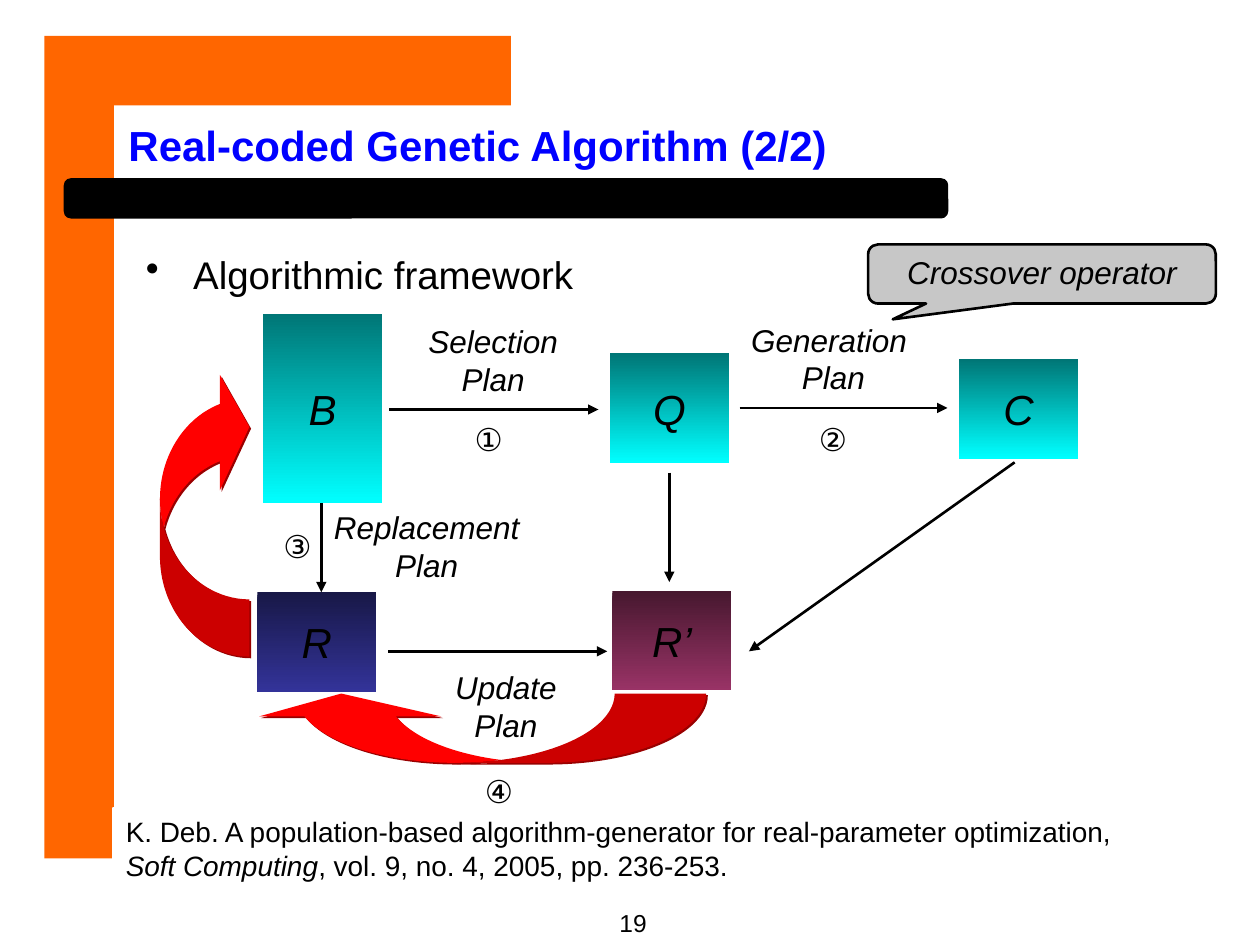
import pptx
import pptx.dml.color
import pptx.enum.shapes
import pptx.enum.text
import pptx.oxml
import pptx.oxml.ns
import pptx.util
from lxml import etree

Pt = pptx.util.Pt
SHAPE = pptx.enum.shapes.MSO_SHAPE
ALIGN = pptx.enum.text.PP_ALIGN
ANCHOR = pptx.enum.text.MSO_ANCHOR
qn = pptx.oxml.ns.qn
FONT = "Arial"


def colour(hex_code):
    return pptx.dml.color.RGBColor.from_string(hex_code)


def points(*values):
    return [Pt(value) for value in values]


def write(frame, lines, size, align=ALIGN.CENTER, anchor=ANCHOR.TOP,
          italic=False, bold=False, ink="000000", wrap=True):
    """Fill a text frame with one paragraph per line."""
    frame.word_wrap = wrap
    frame.vertical_anchor = anchor
    for number, line in enumerate(lines):
        paragraph = frame.add_paragraph() if number else frame.paragraphs[0]
        paragraph.add_run().text = line
        paragraph.alignment = align
        font = paragraph.font
        font.name, font.size = FONT, Pt(size)
        font.italic, font.bold = italic, bold
        font.color.rgb = colour(ink)


def add_text(slide, box, lines, size, **style):
    text = slide.shapes.add_textbox(*points(*box))
    write(text.text_frame, lines, size, **style)
    return text


def add_block(slide, kind, box, fill, line=None, line_width=1.0):
    block = slide.shapes.add_shape(kind, *points(*box))
    block.shadow.inherit = False
    block.fill.solid()
    block.fill.fore_color.rgb = colour(fill)
    if line:
        block.line.color.rgb = colour(line)
        block.line.width = Pt(line_width)
    else:
        block.line.fill.background()
    return block


def add_node(slide, box, name, top, bottom):
    node = add_block(slide, SHAPE.RECTANGLE, box, top)
    node.fill.gradient()
    node.fill.gradient_angle = 270  # downwards
    for stop, shade in zip(node.fill.gradient_stops, (top, bottom)):
        stop.color.rgb = colour(shade)
    write(node.text_frame, [name], 24, anchor=ANCHOR.MIDDLE, italic=True, wrap=False)


def add_arrow(slide, start, end):
    arrow = slide.shapes.add_connector(
        pptx.enum.shapes.MSO_CONNECTOR.STRAIGHT, *points(*start, *end))
    arrow.line.color.rgb = colour("000000")
    arrow.line.width = Pt(1.5)
    etree.SubElement(arrow.line._get_or_add_ln(), qn("a:tailEnd"), type="triangle")
    etree.SubElement(arrow._element.spPr, qn("a:effectLst"))


def add_curved_arrow(slide, box, rotation, proportions):
    arrow = add_block(slide, SHAPE.CURVED_LEFT_ARROW, box, "FF0000")
    arrow.rotation = rotation
    for number, proportion in enumerate(proportions):
        arrow.adjustments[number] = proportion
    effects = arrow._element.spPr.find(qn("a:effectLst"))
    shadow = etree.SubElement(effects, qn("a:outerShdw"), blurRad="0",
                              dist=str(Pt(1.4)), dir="2700000", algn="ctr",
                              rotWithShape="0")
    etree.SubElement(shadow, qn("a:srgbClr"), val="990000")


def add_frame(slide, box):
    """Orange corner and black title rule."""
    left, top, width, height = box
    band = 39.8
    add_block(slide, SHAPE.RECTANGLE, (left, top, band, height), "FF6600")
    add_block(slide, SHAPE.RECTANGLE, (left + band, top, width - band, band), "FF6600")
    rule = add_block(slide, SHAPE.ROUNDED_RECTANGLE,
                     (left + 11.4, top + 81.7, 504.7, 22.3), "000000", "000000", 0.75)
    rule.adjustments[0] = 0.167


def add_title(slide, box):
    title = slide.shapes.title
    title.left, title.top, title.width, title.height = points(*box)
    write(title.text_frame, ["Real-coded Genetic Algorithm (2/2)"], 24,
          align=ALIGN.LEFT, anchor=ANCHOR.MIDDLE, bold=True, ink="0000FF")


def add_topic(slide, box):
    topic = add_text(slide, box, ["Algorithmic framework"], 22, align=ALIGN.LEFT)
    properties = topic.text_frame.paragraphs[0]._p.get_or_add_pPr()
    properties.set("marL", str(Pt(27)))
    properties.set("indent", str(Pt(-27)))
    bullet = etree.Element(qn("a:buChar"), char="•")
    properties.insert(0, bullet)


def add_callout(slide, box):
    callout = add_block(slide, SHAPE.ROUNDED_RECTANGULAR_CALLOUT, box,
                        "C0C0C0", "000000", 1.5)
    for number, value in enumerate((-0.429, 0.767, 0.167)):
        callout.adjustments[number] = value
    fill = callout._element.spPr.find(qn("a:solidFill"))
    etree.SubElement(fill[0], qn("a:alpha"), val="88000")
    write(callout.text_frame, ["Crossover operator"], 18, italic=True)


def add_diagram(slide, left, top):
    """Populations B, Q, C, R and R’ with the four plans between them."""
    def at(x, y):
        return left + x, top + y

    # Populations
    teal, navy, plum = ("007676", "00FFFF"), ("181847", "333399"), ("47182F", "993366")
    for name, x, y, height, shades in (
            ("B", 60.4, 9.3, 108, teal), ("Q", 258.5, 32, 62.6, teal),
            ("C", 458, 35.2, 56.9, teal), ("R", 57, 168.4, 56.9, navy),
            ("R’", 260, 167.7, 56.9, plum)):
        add_node(slide, (*at(x, y), 68, height), name, *shades)

    # Straight arrows
    for start, end in (
            ((132.5, 64), (252, 64)), ((332.6, 63.1), (451.4, 63.1)),
            ((93.6, 117.3), (93.6, 168.4)), ((131.8, 202.2), (257, 202.2)),
            ((292.5, 100), (292.5, 162.6)), ((489.8, 94.2), (338, 202.2))):
        add_arrow(slide, at(*start), at(*end))

    # Curved arrows: R’ to R, then R to B
    add_curved_arrow(slide, (*at(163.4, 115.8), 39.6, 260.6), 90, (1.32, 2.63, 0.33))
    add_curved_arrow(slide, (*at(1.4, 41), 51.1, 164.2), 180, (0.64, 1.29, 0.33))

    # Plans and their step numbers
    for plan, plan_at, step, step_at in (
            ("Selection", (126.7, 18.6), "①", (174.2, 66.2)),
            ("Generation ", (321.1, 17.9), "②", (370.8, 66.2)),
            ("Replacement", (88.6, 125.2), "③", (64.8, 127.4)),
            ("Update", (133.9, 216.6), "④", (180, 267.8))):
        add_text(slide, (*at(*plan_at), 130.3, 33.8), [plan, "Plan"], 18,
                 anchor=ANCHOR.MIDDLE, italic=True, wrap=False)
        add_text(slide, (*at(*step_at), 30.2, 28.8), [step], 18, wrap=False)


def add_reference(slide, box):
    reference = add_block(slide, SHAPE.RECTANGLE, box, "FFFFFF", "FFFFFF", 2)
    write(reference.text_frame,
          ["K. Deb. A population-based algorithm-generator for "
           "real-parameter optimization, "], 16, align=ALIGN.LEFT)
    paragraph = reference.text_frame.paragraphs[0]
    journal = paragraph.add_run()
    journal.text = "Soft Computing"
    journal.font.italic = True
    paragraph.add_run().text = ", vol. 9, no. 4, 2005, pp. 236-253."


def main():
    deck = pptx.Presentation()
    deck.slide_width, deck.slide_height = points(720, 540)
    slide = deck.slides.add_slide(deck.slide_layouts[5])
    add_frame(slide, (25.4, 20.5, 266.6, 470))
    add_title(slide, (66.2, 65.5, 571.7, 33.8))
    add_topic(slide, (76.3, 139.7, 607.7, 334.8))
    add_callout(slide, (496.1, 139.7, 198.7, 33.8))
    add_diagram(slide, 90, 170)
    add_reference(slide, (64.8, 462.2, 578.2, 46.1))
    add_text(slide, (342.7, 515.5, 38.2, 23), ["19"], 14)
    deck.save("out.pptx")


if __name__ == "__main__":
    main()
